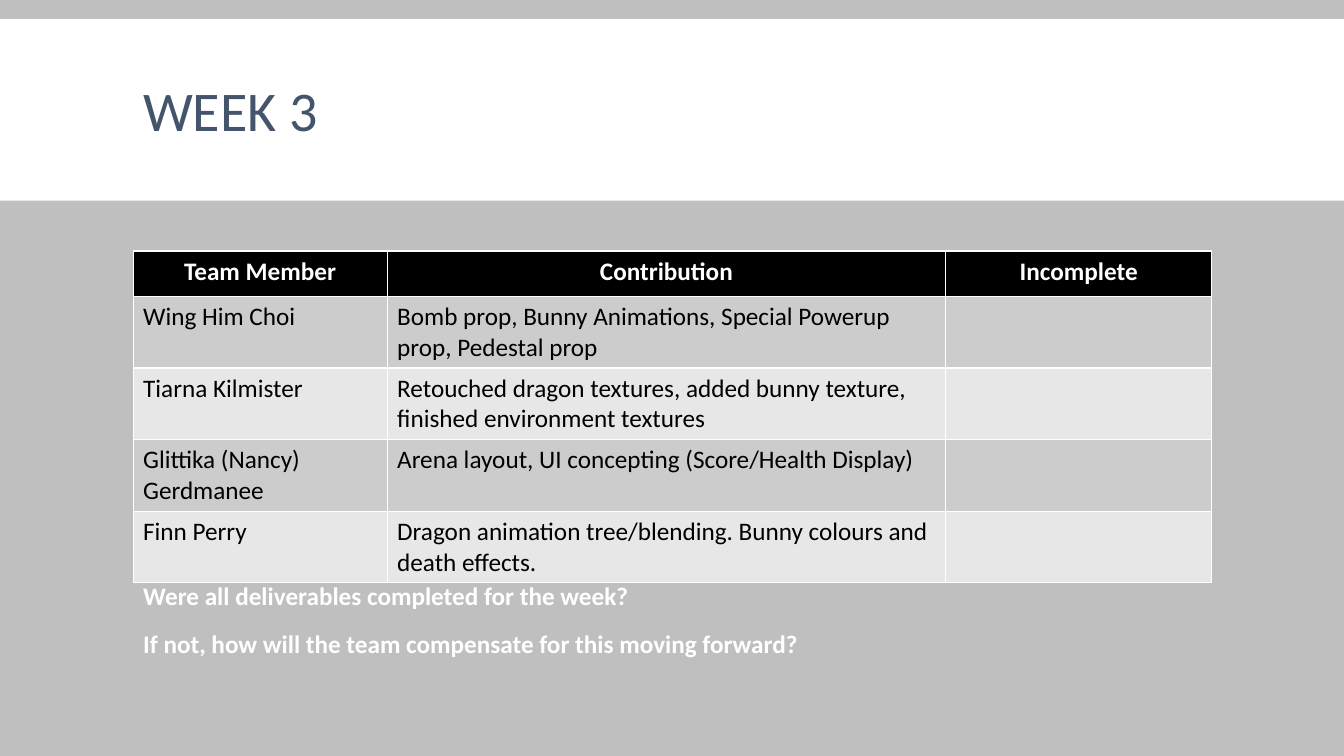
from pptx import Presentation
from pptx.dml.color import RGBColor
from pptx.enum import shapes, text
from pptx.oxml.ns import qn
from pptx.util import Inches, Pt

TITLE = "WEEK 3"
ROWS = [
    ("Team Member", "Contribution", "Incomplete"),
    ("Wing Him Choi", "Bomb prop, Bunny Animations, Special Powerup prop, Pedestal prop", ""),
    ("Tiarna Kilmister", "Retouched dragon textures, added bunny texture, finished environment textures", ""),
    ("Glittika (Nancy) Gerdmanee", "Arena layout, UI concepting (Score/Health Display)", ""),
    ("Finn Perry", "Dragon animation tree/blending. Bunny colours and death effects.", ""),
]
QUESTIONS = [
    "Were all deliverables completed for the week?",
    "If not, how will the team compensate for this moving forward?",
]
COL_WIDTHS = (2.52, 5.54, 2.64)
HEADER_HEIGHT, ROW_HEIGHT = 0.45, 0.7
LEFT, WIDTH = 1.32, sum(COL_WIDTHS)
FONT = "Calibri"

WHITE = RGBColor(0xFF, 0xFF, 0xFF)
BLACK = RGBColor(0x00, 0x00, 0x00)
SLATE = RGBColor(0x44, 0x54, 0x6A)
BACKGROUND = RGBColor(0xBF, 0xBF, 0xBF)
BANDS = (RGBColor(0xE7, 0xE7, 0xE7), RGBColor(0xCC, 0xCC, 0xCC))


def place(shape, top, height):
    shape.left, shape.top = Inches(LEFT), Inches(top)
    shape.width, shape.height = Inches(WIDTH), Inches(height)


def style(p, size, color, bold=False, align=text.PP_ALIGN.LEFT):
    p.alignment = align
    for font in [p.font] + [r.font for r in p.runs]:
        font.name, font.size, font.bold = FONT, Pt(size), bold
        font.color.rgb = color


def add_band(s):
    band = s.shapes.add_shape(shapes.MSO_SHAPE.RECTANGLE, 0, Inches(0.19),
                              Inches(13.33), Inches(1.8))
    band.shadow.inherit = False
    band.fill.solid()
    band.fill.fore_color.rgb = WHITE
    band.line.fill.background()
    s.shapes._spTree.insert(2, band._element)


def add_title(s):
    title = s.shapes.title
    place(title, 0.31, 1.65)
    tf = title.text_frame
    tf.text = TITLE
    tf.auto_size = text.MSO_AUTO_SIZE.NONE
    tf.vertical_anchor = text.MSO_ANCHOR.MIDDLE
    p = tf.paragraphs[0]
    p.line_spacing = 0.85
    style(p, 40, SLATE)


def add_contributions(s):
    height = HEADER_HEIGHT + ROW_HEIGHT * (len(ROWS) - 1)
    table = s.shapes.add_table(len(ROWS), len(COL_WIDTHS), Inches(LEFT), Inches(2.49),
                               Inches(WIDTH), Inches(height)).table
    for column, width in zip(table.columns, COL_WIDTHS):
        column.width = Inches(width)
    for i, row in enumerate(ROWS):
        header = i == 0
        table.rows[i].height = Inches(HEADER_HEIGHT if header else ROW_HEIGHT)
        for j, value in enumerate(row):
            cell = table.cell(i, j)
            cell.text = value
            cell.fill.solid()
            cell.fill.fore_color.rgb = BLACK if header else BANDS[i % 2]
            style(cell.text_frame.paragraphs[0], 18, WHITE if header else BLACK, header,
                  text.PP_ALIGN.CENTER if header else text.PP_ALIGN.LEFT)


def add_questions(s):
    body = s.placeholders[1]
    place(body, 5.73, 0.88)
    tf = body.text_frame
    tf.text = "\n".join(QUESTIONS)
    tf.auto_size = text.MSO_AUTO_SIZE.NONE
    tf.vertical_anchor = text.MSO_ANCHOR.TOP
    for p in tf.paragraphs:
        p.line_spacing = 0.95
        p.space_before, p.space_after = Pt(12), Pt(2)
        style(p, 18, WHITE, True)
        pPr = p._p.get_or_add_pPr()
        pPr.set("marL", "0")
        pPr.set("indent", "0")
        bullet = pPr.makeelement(qn("a:buNone"), {})
        pPr.find(qn("a:defRPr")).addprevious(bullet)
    s.shapes._spTree.append(body._element)


def main():
    prs = Presentation()
    prs.slide_width, prs.slide_height = Inches(13.33), Inches(7.5)
    s = prs.slides.add_slide(prs.slide_layouts[1])
    s.background.fill.solid()
    s.background.fill.fore_color.rgb = BACKGROUND
    add_band(s)
    add_title(s)
    add_contributions(s)
    add_questions(s)
    prs.save("out.pptx")


if __name__ == "__main__":
    main()
